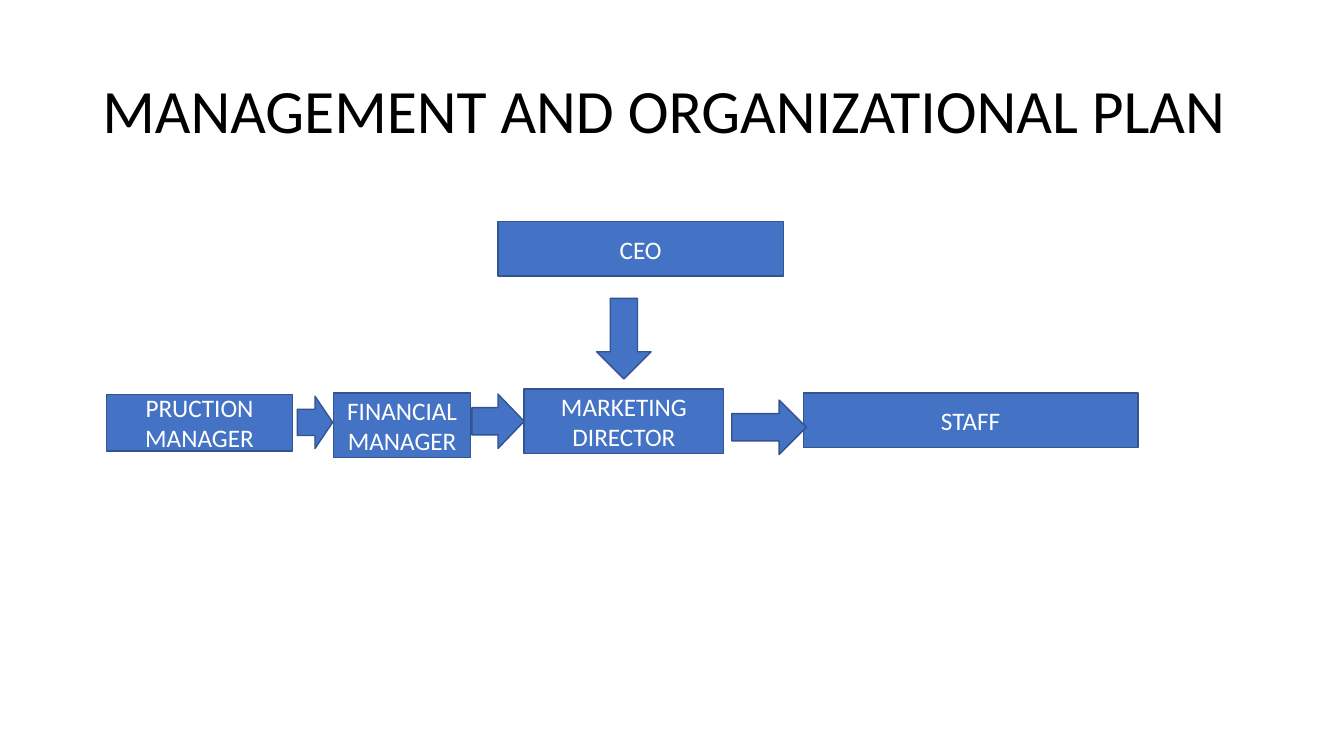
from pptx import Presentation
from pptx.dml.color import RGBColor
from pptx.enum.shapes import MSO_SHAPE
from pptx.enum.text import MSO_ANCHOR, PP_ALIGN
from pptx.util import Pt

COLORS = {"fill": "4472C4", "line": "325491", "title": "000000", "label": "FFFFFF"}
FONT = "Calibri"


def color(name):
    return RGBColor.from_string(COLORS[name])


def write_text(shape, text, size=18, tone="label", align=PP_ALIGN.CENTER, spacing=1.0):
    frame = shape.text_frame
    frame.word_wrap = True
    frame.vertical_anchor = MSO_ANCHOR.MIDDLE
    para = frame.paragraphs[0]
    para.alignment = align
    para.line_spacing = spacing
    span = para.add_run()
    span.text = text
    span.font.name = FONT
    span.font.size = Pt(size)
    span.font.color.rgb = color(tone)


def add_title(page, text):
    box = page.shapes.add_textbox(Pt(66), Pt(28.8), Pt(828), Pt(104.4))
    write_text(box, text, size=44, tone="title", align=PP_ALIGN.LEFT, spacing=0.9)


def add_block(page, kind, left, top, width, height):
    shape = page.shapes.add_shape(kind, Pt(left), Pt(top), Pt(width), Pt(height))
    shape.shadow.inherit = False
    shape.fill.solid()
    shape.fill.fore_color.rgb = color("fill")
    shape.line.color.rgb = color("line")
    shape.line.width = Pt(1)
    return shape


def add_role(page, text, *bounds):
    write_text(add_block(page, MSO_SHAPE.RECTANGLE, *bounds), text)


def main():
    deck = Presentation()
    deck.slide_width = Pt(960)
    deck.slide_height = Pt(540)
    page = deck.slides.add_slide(deck.slide_layouts[6])

    add_title(page, "MANAGEMENT AND ORGANIZATIONAL PLAN")

    roles = [
        ("CEO", 355.7, 158.4, 203.8, 38.9),
        ("STAFF", 573.8, 280.8, 239, 38.9),
        ("FINANCIAL MANAGER", 238.3, 280.8, 97.9, 46.1),
        ("PRUCTION MANAGER", 76.3, 281.8, 132.5, 40.3),
        ("MARKETING DIRECTOR", 374.4, 277.9, 142.6, 46.1),
    ]
    for role in roles:
        add_role(page, *role)

    arrows = [
        (MSO_SHAPE.DOWN_ARROW, 426.2, 213.1, 38.9, 57.6),
        (MSO_SHAPE.RIGHT_ARROW, 522.7, 285.8, 53.3, 38.9),
        (MSO_SHAPE.RIGHT_ARROW, 212.4, 283, 25.2, 37.4),
        (MSO_SHAPE.RIGHT_ARROW, 337, 281.5, 37.4, 38.9),
    ]
    for arrow in arrows:
        add_block(page, *arrow)

    deck.save("out.pptx")


main()
